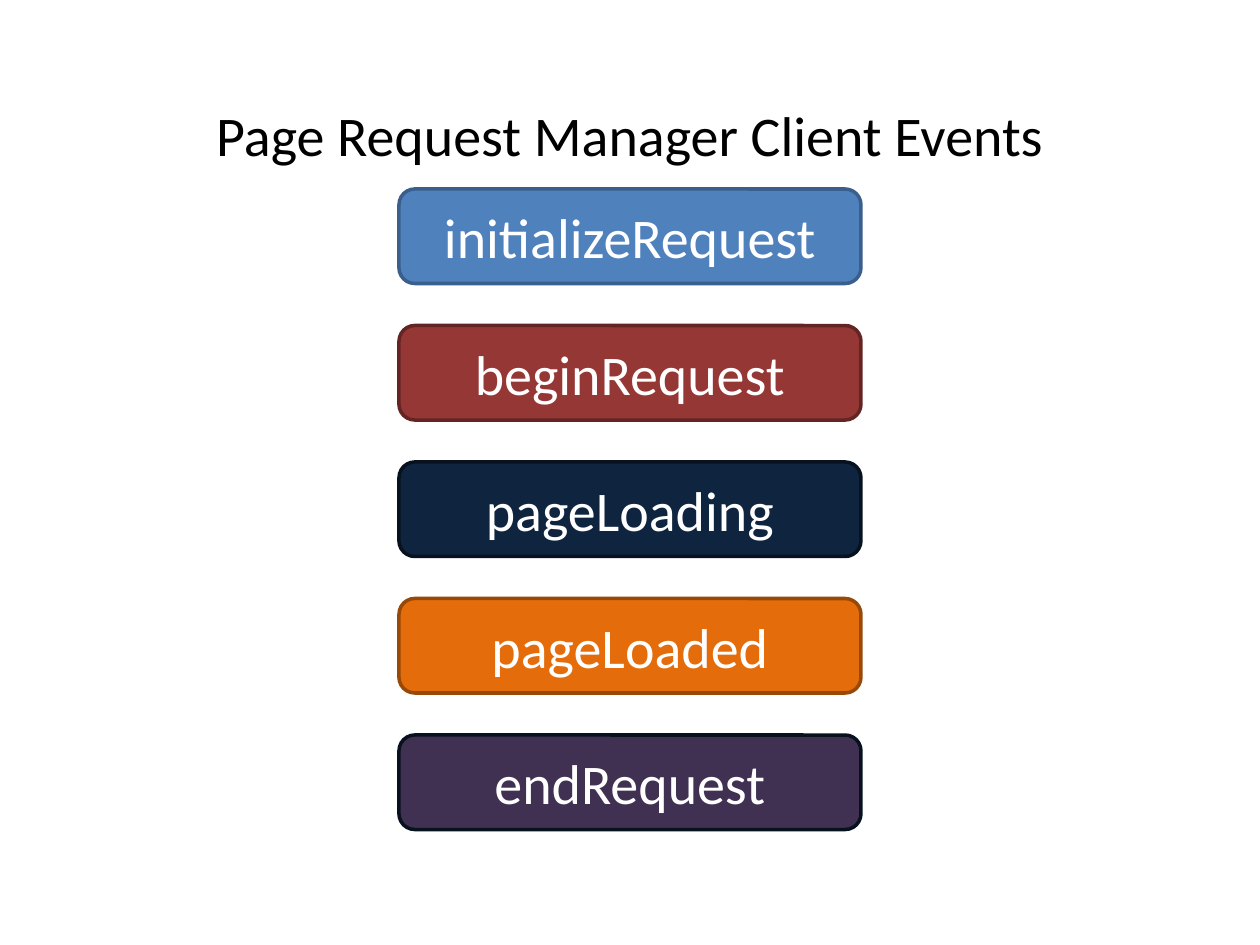
from pptx import Presentation
from pptx.dml.color import RGBColor
from pptx.enum.shapes import MSO_SHAPE
from pptx.enum.text import MSO_ANCHOR, PP_ALIGN
from pptx.util import Pt

ROUNDED = MSO_SHAPE.ROUNDED_RECTANGLE
MIDDLE = MSO_ANCHOR.MIDDLE
CENTER = PP_ALIGN.CENTER

EMU_PER_PX = 9525
SLIDE_WIDTH, SLIDE_HEIGHT = 960, 720
EVENT_WIDTH, EVENT_HEIGHT = 352, 72
FIRST_EVENT_TOP, EVENT_PITCH = 144, 104
TITLE_ONLY = 5

COLOURS = {
    "black": "000000",
    "white": "FFFFFF",
    "blue": "4F81BD",
    "blue edge": "3A5F8C",
    "red": "953735",
    "red edge": "632523",
    "navy": "0F243E",
    "navy edge": "08121F",
    "orange": "E46C0A",
    "orange edge": "984807",
    "purple": "403152",
}

EVENTS = [
    ("initializeRequest", "blue", "blue edge"),
    ("beginRequest", "red", "red edge"),
    ("pageLoading", "navy", "navy edge"),
    ("pageLoaded", "orange", "orange edge"),
    ("endRequest", "purple", "navy edge"),
]


def px(length):
    """Turn pixels into EMU."""
    return length * EMU_PER_PX


def colour(name):
    """Look up a named colour."""
    return RGBColor.from_string(COLOURS[name])


def write_text(holder, wording, ink):
    """Write one centred line into a shape."""
    frame = holder.text_frame
    frame.text = wording
    frame.word_wrap = True
    frame.vertical_anchor = MIDDLE
    line = frame.paragraphs[0]
    line.alignment = CENTER
    line.font.name = "Calibri"
    line.font.size = Pt(32)
    line.font.color.rgb = colour(ink)


def set_title(slide, wording):
    """Place and format the slide title."""
    title = slide.shapes.title
    title.left, title.top = px(72), px(54)
    title.width, title.height = px(816), px(96)
    write_text(title, wording, "black")


def add_event(slide, top, name, fill, edge):
    """Add a rounded box for one client event."""
    left = (SLIDE_WIDTH - EVENT_WIDTH) // 2
    event = slide.shapes.add_shape(
        ROUNDED, px(left), px(top), px(EVENT_WIDTH), px(EVENT_HEIGHT)
    )
    event.shadow.inherit = False
    event.fill.solid()
    event.fill.fore_color.rgb = colour(fill)
    event.line.color.rgb = colour(edge)
    event.line.width = Pt(2)
    write_text(event, name, "white")


def main():
    """Build the slide of client events."""
    deck = Presentation()
    deck.slide_width, deck.slide_height = px(SLIDE_WIDTH), px(SLIDE_HEIGHT)
    slide = deck.slides.add_slide(deck.slide_layouts[TITLE_ONLY])
    slide.background.fill.solid()
    slide.background.fill.fore_color.rgb = colour("white")
    set_title(slide, "Page Request Manager Client Events")
    for order, (name, fill, edge) in enumerate(EVENTS):
        add_event(slide, FIRST_EVENT_TOP + order * EVENT_PITCH, name, fill, edge)
    deck.save("out.pptx")


if __name__ == "__main__":
    main()
